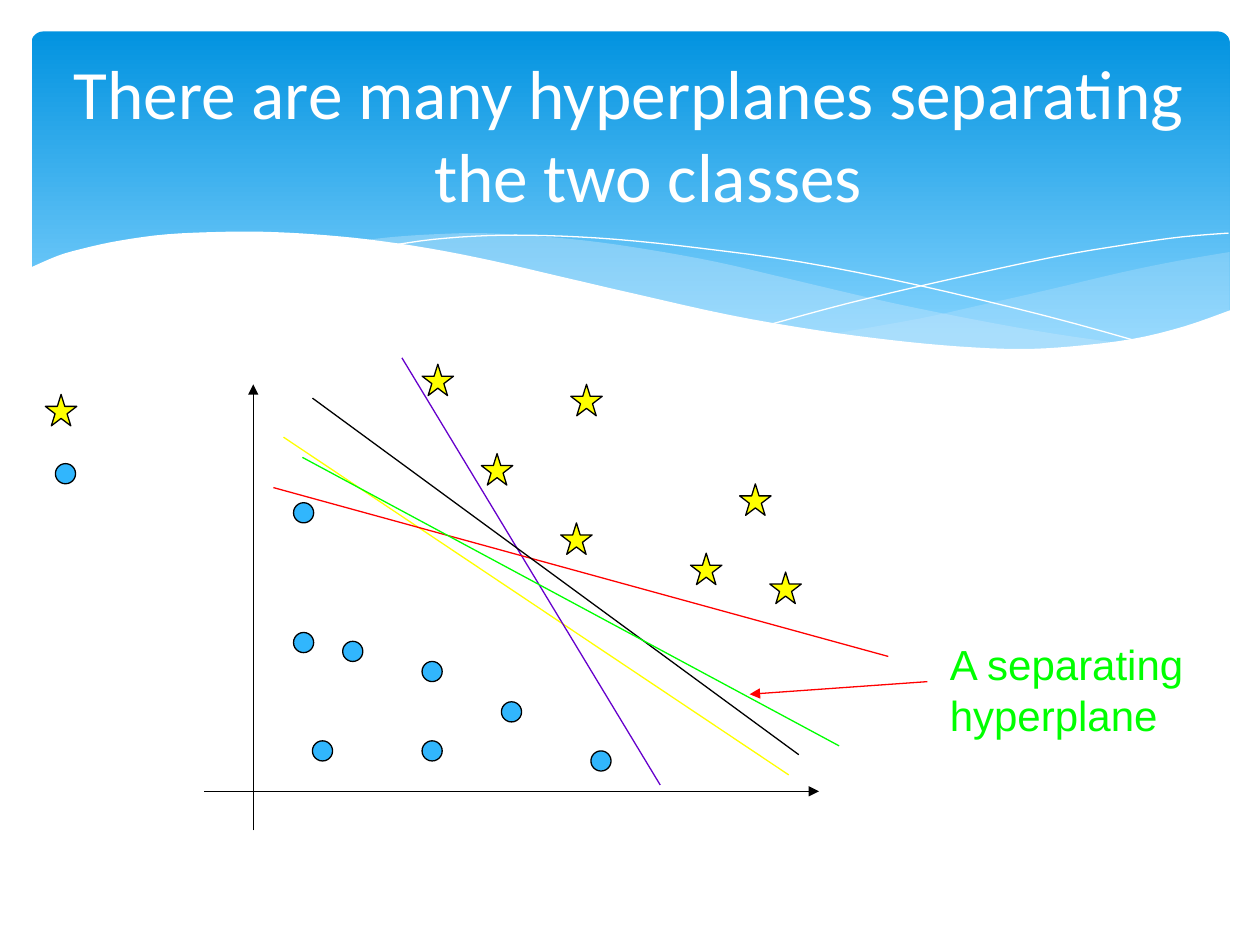
from pptx import Presentation
from pptx.dml.color import RGBColor
from pptx.enum.shapes import MSO_CONNECTOR, MSO_SHAPE
from pptx.enum.text import MSO_ANCHOR, MSO_AUTO_SIZE, PP_ALIGN
from pptx.oxml.ns import qn
from pptx.util import Inches, Pt
from lxml.etree import SubElement

WHITE = RGBColor(0xFF, 0xFF, 0xFF)
BLACK = RGBColor(0x00, 0x00, 0x00)
SKY_TOP = RGBColor(0x02, 0x93, 0xE0)
SKY_BOTTOM = RGBColor(0x83, 0xD3, 0xFE)
MIST = RGBColor(0xC6, 0xE7, 0xFC)
BLUE = RGBColor(0x31, 0xB6, 0xFD)
YELLOW = RGBColor(0xFF, 0xFF, 0x00)
RED = RGBColor(0xFF, 0x00, 0x00)
GREEN = RGBColor(0x00, 0xFF, 0x00)
PURPLE = RGBColor(0x66, 0x00, 0xCC)

LEFT_SWELL = [(8.93, 2.73), (8.37, 2.65), (7.75, 2.54), (7.06, 2.4), (6.29, 2.22),
              (5.69, 2.08), (5.14, 1.98), (4.65, 1.91), (4.2, 1.87), (3.8, 1.85),
              (3.44, 1.86), (3.13, 1.88), (2.86, 1.91)]
LEFT_TROUGH = [(2.86, 1.91), (3.42, 1.99), (4.04, 2.11), (4.49, 2.22), (5.3, 2.4),
               (6.01, 2.55), (6.65, 2.66), (7.22, 2.74), (7.73, 2.77), (8.18, 2.78),
               (8.57, 2.77), (8.93, 2.73)]
RIGHT_SWELL = [(9.76, 2), (9.35, 2.07), (8.91, 2.16), (8.32, 2.3), (7.79, 2.42),
               (7.29, 2.53), (6.61, 2.65)]
RIGHT_TROUGH = [(6.61, 2.65), (7.05, 2.71), (7.45, 2.75), (7.81, 2.77), (8.14, 2.78),
                (8.54, 2.76), (8.89, 2.72), (9.21, 2.65), (9.49, 2.57), (9.76, 2.47)]
FALLING_CREST = [(3.09, 1.95), (3.44, 1.9), (3.87, 1.87), (4.33, 1.87), (4.89, 1.9),
                 (5.56, 1.97), (6.36, 2.08), (7.27, 2.26), (8.31, 2.51), (9.07, 2.72)]
RISING_CREST = [(6.13, 2.57), (6.72, 2.41), (7.48, 2.23), (8.36, 2.04), (8.95, 1.94),
                (9.38, 1.88), (9.75, 1.85)]
SHORE = [(9.77, 2.46), (9.4, 2.59), (8.99, 2.69), (8.5, 2.75), (8.09, 2.77),
         (7.61, 2.75), (7.08, 2.7), (6.48, 2.62), (5.79, 2.5), (5.03, 2.33),
         (4.47, 2.2), (3.91, 2.07), (3.4, 1.97), (2.92, 1.9), (2.5, 1.86),
         (2.11, 1.84), (1.77, 1.84), (1.32, 1.86), (0.95, 1.91), (0.67, 1.97),
         (0.46, 2.03), (0.23, 2.13)]

CIRCLES = [(2.33, 5.02), (2.72, 5.09), (2.48, 5.88), (3.35, 5.25), (3.35, 5.88),
           (2.33, 3.99), (4.69, 5.96), (3.98, 5.57), (0.44, 3.68)]
STARS = [(4.53, 3.05), (4.45, 4.15), (5.87, 3.84), (5.48, 4.39), (6.11, 4.54),
         (3.35, 2.89), (0.36, 3.13), (3.82, 3.6)]
AXES = [((2.01, 6.59), (2.01, 3.05)), ((1.62, 6.28), (6.5, 6.28))]
HYPERPLANES = [((2.25, 3.47), (6.26, 6.15), YELLOW), ((3.19, 2.84), (5.24, 6.23), PURPLE),
               ((2.17, 3.87), (7.05, 5.21), RED), ((2.48, 3.16), (6.34, 5.99), BLACK),
               ((2.4, 3.63), (6.66, 5.92), GREEN)]


def smooth_curve(knots, steps=4):
    """Return points of a Catmull-Rom curve through the knots."""
    padded = [knots[0], *knots, knots[-1]]
    points = [knots[0]]
    for a, b, c, d in zip(padded, padded[1:], padded[2:], padded[3:]):
        for step in range(1, steps + 1):
            t = step / steps
            points.append(tuple(
                0.5 * (2 * q + (r - p) * t + (2 * p - 5 * q + 4 * r - s) * t ** 2
                       + (3 * q - p - 3 * r + s) * t ** 3)
                for p, q, r, s in zip(a, b, c, d)))
    return points


class SlideSketch:
    """Draw styled elements on the current slide."""

    line_width = Pt(0.75)

    def __init__(self, slide):
        self.slide = slide
        self.shapes = slide.shapes

    def banner(self, left, top, width, height):
        banner = self.shapes.add_shape(
            MSO_SHAPE.ROUNDED_RECTANGLE, *map(Inches, (left, top, width, height)))
        banner.adjustments[0] = 0.034
        banner.shadow.inherit = False
        banner.line.fill.background()
        banner.fill.gradient()
        banner.fill.gradient_angle = 270
        stops = banner.fill.gradient_stops
        for stop, position, color in zip(stops, (0, 0.9), (SKY_TOP, SKY_BOTTOM)):
            stop.position = position
            stop.color.rgb = color

    def outline(self, points, close):
        corners = [(Inches(x), Inches(y)) for x, y in points]
        builder = self.shapes.build_freeform(*corners[0])
        builder.add_line_segments(corners[1:], close=close)
        outline = builder.convert_to_shape()
        outline.shadow.inherit = False
        return outline

    def wave(self, points, color, opacity=100):
        wave = self.outline(points, True)
        wave.line.fill.background()
        wave.fill.solid()
        wave.fill.fore_color.rgb = color
        if opacity < 100:
            tint = wave.fill._xPr.find(qn("a:solidFill"))[0]
            SubElement(tint, qn("a:alpha"), val=str(opacity * 1000))

    def crest(self, knots):
        crest = self.outline(smooth_curve(knots), False)
        crest.fill.background()
        crest.line.color.rgb = WHITE
        crest.line.width = Pt(0)

    def title(self, text, left, top, width, height):
        title = self.shapes.title
        title.left, title.top, title.width, title.height = map(
            Inches, (left, top, width, height))
        title.element.getparent().append(title.element)
        frame = title.text_frame
        frame.text = text
        frame.word_wrap = True
        frame.auto_size = MSO_AUTO_SIZE.NONE
        frame.vertical_anchor = MSO_ANCHOR.MIDDLE
        paragraph = frame.paragraphs[0]
        properties = paragraph._p.get_or_add_pPr()
        properties.set("marL", str(Inches(0.31)))
        properties.set("indent", str(Inches(-0.31)))
        paragraph.alignment = PP_ALIGN.CENTER
        self.font(paragraph, "Calibri", 39.6, WHITE)

    def font(self, paragraph, name, size, color):
        paragraph.font.name = name
        paragraph.font.size = Pt(size)
        paragraph.font.color.rgb = color

    def label(self, text, left, top, width, height, color):
        frame = self.shapes.add_textbox(
            *map(Inches, (left, top, width, height))).text_frame
        frame.word_wrap = True
        frame.text = text
        self.font(frame.paragraphs[0], "Arial", 24, color)

    def marker(self, preset, left, top, size, color):
        marker = self.shapes.add_shape(preset, *map(Inches, (left, top, size, size)))
        marker.shadow.inherit = False
        marker.fill.solid()
        marker.fill.fore_color.rgb = color
        marker.line.color.rgb = BLACK
        marker.line.width = self.line_width

    def line(self, start, end, color, arrow=False):
        line = self.shapes.add_connector(
            MSO_CONNECTOR.STRAIGHT, *map(Inches, (*start, *end)))
        line.line.color.rgb = color
        line.line.width = self.line_width
        if arrow:
            SubElement(line.line._get_or_add_ln(), qn("a:tailEnd"), type="triangle")
        SubElement(line.element.spPr, qn("a:effectLst"))


def main():
    """Build the hyperplane slide and save it."""
    deck = Presentation()
    deck.slide_width, deck.slide_height = Inches(10), Inches(7.5)
    sketch = SlideSketch(deck.slides.add_slide(deck.slide_layouts[5]))

    sketch.banner(0.25, 0.25, 9.51, 2.7)
    sketch.wave(smooth_curve(RIGHT_SWELL) + smooth_curve(RIGHT_TROUGH), MIST, 29)
    sketch.wave(smooth_curve(LEFT_SWELL) + smooth_curve(LEFT_TROUGH), MIST, 40)
    sketch.crest(FALLING_CREST)
    sketch.crest(RISING_CREST)
    sketch.wave(smooth_curve(SHORE) + [(0.23, 3.29), (9.77, 3.29)], WHITE)
    sketch.title("There are many hyperplanes separating the two classes",
                 0.21, 0.37, 9.56, 1.37)

    for start, end in AXES:
        sketch.line(start, end, BLACK, arrow=True)
    for left, top in CIRCLES:
        sketch.marker(MSO_SHAPE.FLOWCHART_CONNECTOR, left, top, 0.16, BLUE)
    for left, top in STARS:
        sketch.marker(MSO_SHAPE.STAR_5_POINT, left, top, 0.25, YELLOW)
    sketch.line((7.36, 5.41), (5.95, 5.51), RED, arrow=True)
    sketch.label("A separating hyperplane", 7.44, 5.02, 2.2, 0.91, GREEN)
    for start, end, color in HYPERPLANES:
        sketch.line(start, end, color)

    deck.save("out.pptx")


if __name__ == "__main__":
    main()
